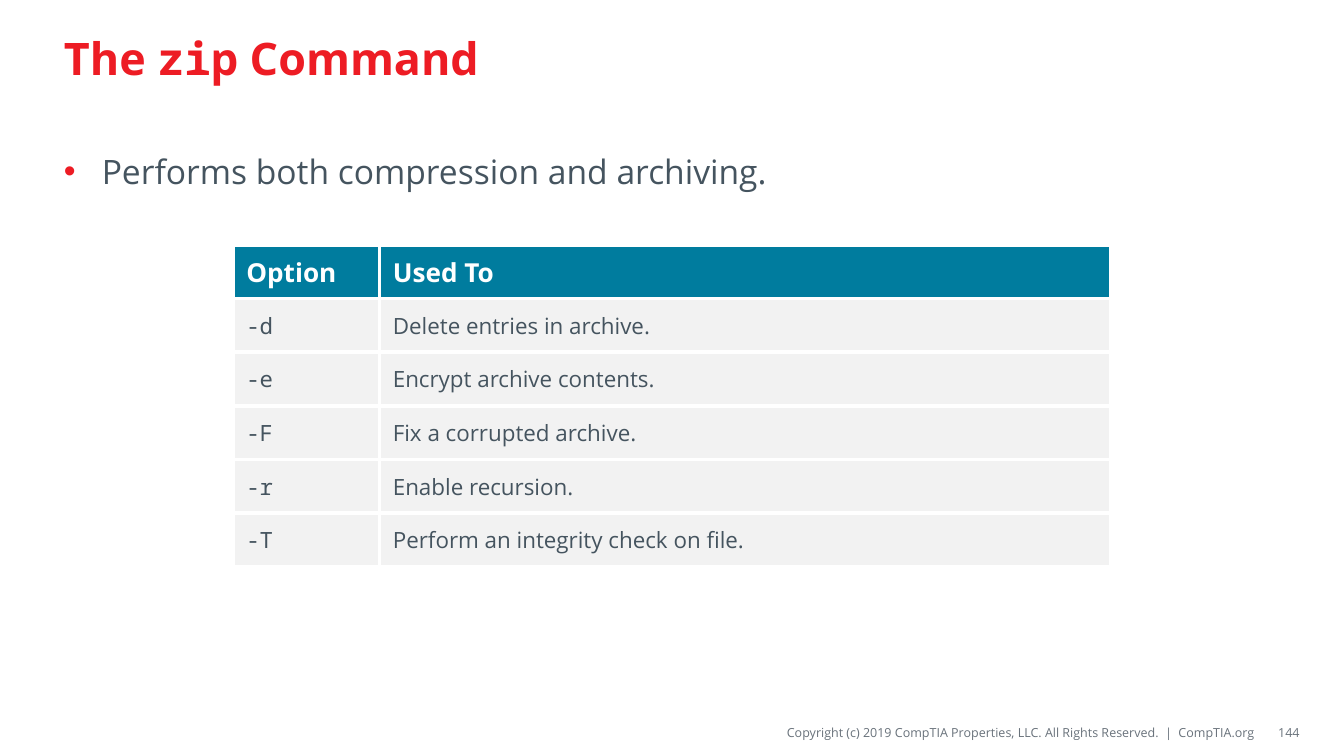
from typing import NamedTuple

from lxml.etree import SubElement
from pptx import Presentation
from pptx.dml.color import RGBColor
from pptx.enum.text import MSO_ANCHOR, PP_ALIGN
from pptx.oxml.ns import qn
from pptx.util import Pt

SCALE = 3175
SANS, MONO = "Open Sans", "Noto Sans Mono"
HEX = {
    "red": "ED1C24",
    "slate": "45545F",
    "gray": "69727B",
    "teal": "007C9E",
    "pale": "F2F2F2",
    "white": "FFFFFF",
}


class Box(NamedTuple):
    left: int
    top: int
    width: int
    height: int


class Option(NamedTuple):
    flag: str
    use: str


OPTIONS = [
    Option("-d", "Delete entries in archive."),
    Option("-e", "Encrypt archive contents."),
    Option("-F", "Fix a corrupted archive."),
    Option("-r", "Enable recursion."),
    Option("-T", "Perform an integrity check on file."),
]


def px(size: int) -> int:
    return size * SCALE


def color(name: str) -> RGBColor:
    return RGBColor.from_string(HEX[name])


def write(para, text: str, *, size: float, tint: str, font: str = SANS, bold: bool = False) -> None:
    run = para.add_run()
    run.text = text
    run.font.name = font
    run.font.size = Pt(size)
    run.font.bold = bold
    run.font.color.rgb = color(tint)


def add_box(slide, box: Box, anchor=MSO_ANCHOR.MIDDLE, align=PP_ALIGN.LEFT, inset=(29, 14, 29, 14)):
    frame = slide.shapes.add_textbox(*map(px, box)).text_frame
    frame.word_wrap = True
    frame.vertical_anchor = anchor
    (frame.margin_left, frame.margin_top,
     frame.margin_right, frame.margin_bottom) = map(px, inset)
    para = frame.paragraphs[0]
    para.alignment = align
    return para


def add_bullet(para, tint: str, indent: int) -> None:
    props = para._p.get_or_add_pPr()
    props.set("marL", str(px(indent)))
    props.set("indent", str(-px(indent)))
    shade = SubElement(props, qn("a:buClr"))
    SubElement(shade, qn("a:srgbClr"), val=HEX[tint])
    SubElement(props, qn("a:buFont"), typeface="Arial")
    SubElement(props, qn("a:buChar"), char="•")


def style_cell(cell, fill: str) -> None:
    props = cell._tc.get_or_add_tcPr()
    for side in ("lnL", "lnR", "lnT", "lnB"):
        line = SubElement(props, qn(f"a:{side}"), w=str(Pt(2.25)))
        solid = SubElement(line, qn("a:solidFill"))
        SubElement(solid, qn("a:srgbClr"), val=HEX["white"])
    cell.fill.solid()
    cell.fill.fore_color.rgb = color(fill)
    cell.vertical_anchor = MSO_ANCHOR.MIDDLE


def add_options(slide, box: Box, widths: tuple[int, int]) -> None:
    rows = [Option("Option", "Used To"), *OPTIONS]
    table = slide.shapes.add_table(len(rows), len(widths), *map(px, box)).table
    for col, width in zip(table.columns, widths):
        col.width = px(width)
    for i, row in enumerate(rows):
        table.rows[i].height = px(box.height // len(rows))
        for j, text in enumerate(row):
            cell = table.cell(i, j)
            style_cell(cell, "pale" if i else "teal")
            para = cell.text_frame.paragraphs[0]
            if i:
                write(para, text, size=12, tint="slate", font=SANS if j else MONO)
            else:
                write(para, text, size=14, tint="white", bold=True)


def main() -> None:
    deck = Presentation()
    deck.slide_width, deck.slide_height = px(2880), px(1620)
    slide = deck.slides.add_slide(deck.slide_layouts[6])

    note = add_box(slide, Box(1117, 1538, 1574, 63), align=PP_ALIGN.RIGHT, inset=(0, 11, 0, 11))
    write(note, "Copyright (c) 2019 CompTIA Properties, LLC. All Rights Reserved.  |  CompTIA.org",
          size=6.75, tint="gray")

    title = add_box(slide, Box(108, 24, 2664, 198))
    for text, font in (("The ", SANS), ("zip", MONO), (" Command", SANS)):
        write(title, text, size=24, tint="red", font=font, bold=True)

    page = add_box(slide, Box(2701, 1538, 84, 63), align=PP_ALIGN.RIGHT, inset=(29, 14, 0, 14))
    write(page, "144", size=6.75, tint="gray")

    body = add_box(slide, Box(108, 309, 2664, 1123), anchor=MSO_ANCHOR.TOP)
    add_bullet(body, "red", 81)
    write(body, "Performs both compression and archiving.", size=18, tint="slate")

    add_options(slide, Box(499, 525, 1881, 690), (314, 1567))
    deck.save("out.pptx")


if __name__ == "__main__":
    main()
